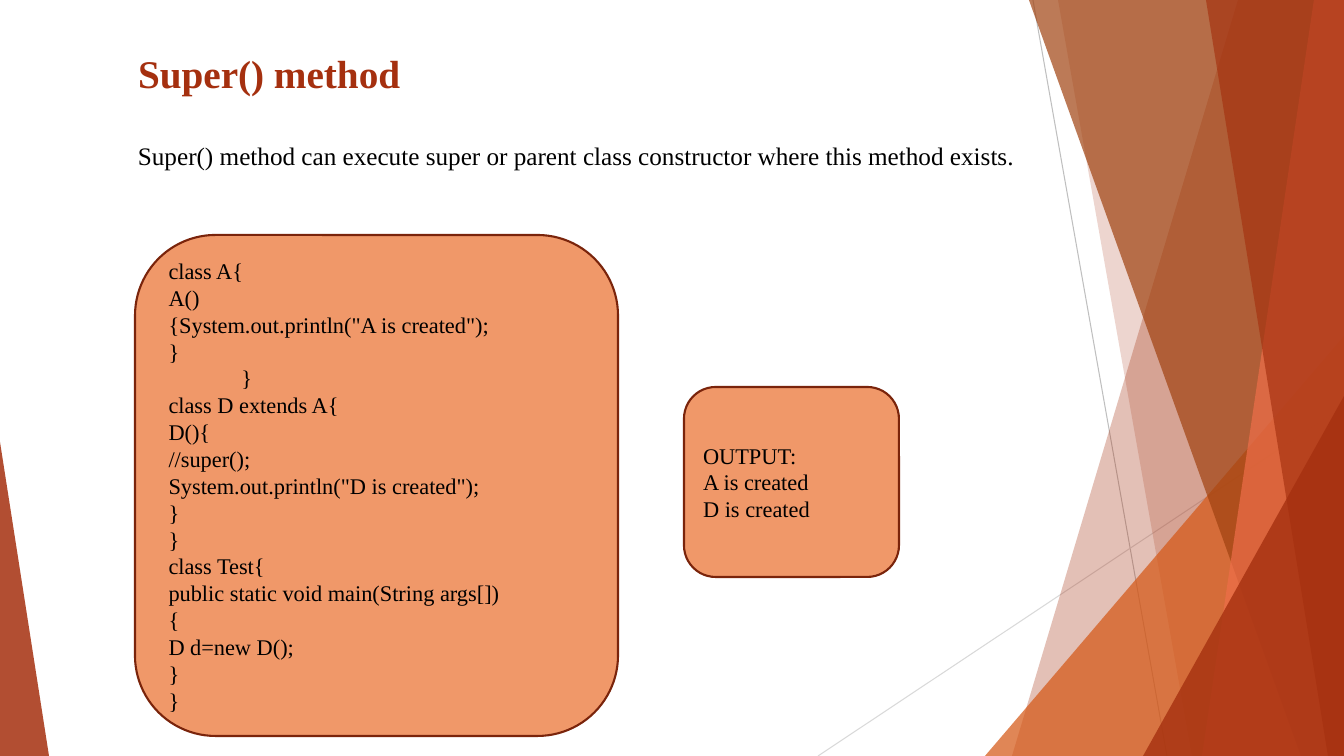
from dataclasses import dataclass
from typing import Any, NamedTuple

from lxml import etree
from pptx import Presentation
from pptx import util as u
from pptx.dml.color import RGBColor
from pptx.enum import shapes, text
from pptx.oxml import ns

EMU_PER_PX = 9144000 / 1008
WIDTH, HEIGHT = 1344, 756


@dataclass(frozen=True)
class Theme:
    font: str = "Times New Roman"
    brick: str = "A5300F"
    orange: str = "D55816"
    rust: str = "A04210"
    coral: str = "EE6E4A"
    panel: str = "F09869"
    border: str = "7A240B"
    ink: str = "000000"
    steep_line: str = "BFBFBF"
    shallow_line: str = "D9D9D9"
    title_size: int = 28
    sentence_size: int = 18
    code_size: int = 16


THEME = Theme()


class Box(NamedTuple):
    left: int
    top: int
    width: int
    height: int


class Ray(NamedTuple):
    start: tuple[int, int]
    end: tuple[int, int]
    color: str


class Band(NamedTuple):
    top_left: int
    bottom_left: int
    color: str
    opacity: int


class Wedge(NamedTuple):
    box: Box
    apex: int
    color: str
    opacity: int


class Line(NamedTuple):
    words: str
    indent: int = 0


class Panel(NamedTuple):
    box: Box
    lines: list[Line]


RAYS = [
    Ray((1033, 0), (1167, HEIGHT), THEME.steep_line),
    Ray((WIDTH, 406), (818, HEIGHT), THEME.shallow_line),
]
FACETS = [
    Band(1238, 1012, THEME.brick, 30),
    Band(1058, 1192, THEME.brick, 20),
    Wedge(Box(985, 336, 359, 420), 1, THEME.orange, 72),
    Band(1029, 1301, THEME.rust, 70),
    Band(1314, 1202, THEME.coral, 70),
    Band(1206, 1328, THEME.brick, 65),
    Wedge(Box(1143, 396, 201, 360), 1, THEME.brick, 80),
    Wedge(Box(0, 442, 49, 314), 0, THEME.brick, 85),
]
CODE = Panel(Box(135, 235, 483, 501), [
    Line("class A{"),
    Line("A()"),
    Line('{System.out.println("A is created");'),
    Line("}"),
    Line("}", 73),
    Line("class D extends A{"),
    Line("D(){"),
    Line("//super();"),
    Line('System.out.println("D is created");'),
    Line("}"),
    Line("}"),
    Line("class Test{"),
    Line("public static void main(String args[])"),
    Line("{"),
    Line("D d=new D();"),
    Line("}"),
    Line("}"),
])
OUTPUT = Panel(Box(684, 387, 215, 190), [
    Line("OUTPUT:"), Line("A is created"), Line("D is created"),
])
TITLE_BOX = Box(128, 44, 916, 122)
SENTENCE_BOX = Box(128, 135, 937, 40)


def px(length: int) -> u.Emu:
    return u.Emu(round(length * EMU_PER_PX))


def emu(box: Box) -> list[u.Emu]:
    return [px(side) for side in box]


def apply(target: Any, values: dict[str, Any]) -> None:
    for name, value in values.items():
        setattr(target, name, value)


def write(frame: Any, lines: list[Line], size: int, color: str,
          bold: bool = False, anchor: Any = text.MSO_ANCHOR.TOP) -> None:
    apply(frame, {"word_wrap": True, "auto_size": text.MSO_AUTO_SIZE.NONE,
                  "vertical_anchor": anchor})
    for index, line in enumerate(lines):
        paragraph = frame.add_paragraph() if index else frame.paragraphs[0]
        paragraph.alignment = text.PP_ALIGN.LEFT
        if line.indent:
            paragraph._p.get_or_add_pPr().set("marL", str(px(line.indent)))
        run = paragraph.add_run()
        run.text = line.words
        apply(run.font, {"name": THEME.font, "size": u.Pt(size), "bold": bold})
        run.font.color.rgb = RGBColor.from_string(color)


def paint(shape: Any, color: str) -> None:
    shape.shadow.inherit = False
    shape.fill.solid()
    shape.fill.fore_color.rgb = RGBColor.from_string(color)


def draw_ray(slide: Any, ray: Ray) -> None:
    ends = [px(value) for value in (*ray.start, *ray.end)]
    connector = slide.shapes.add_connector(shapes.MSO_CONNECTOR.STRAIGHT, *ends)
    connector.line.color.rgb = RGBColor.from_string(ray.color)
    connector.line.width = u.Pt(0.75)
    etree.SubElement(connector.element.spPr, ns.qn("a:effectLst"))


def draw_facet(slide: Any, facet: Band | Wedge) -> None:
    if isinstance(facet, Band):
        outline = slide.shapes.build_freeform(facet.top_left, 0, EMU_PER_PX)
        outline.add_line_segments(
            [(WIDTH, 0), (WIDTH, HEIGHT), (facet.bottom_left, HEIGHT)])
        shape = outline.convert_to_shape()
    else:
        shape = slide.shapes.add_shape(
            shapes.MSO_SHAPE.ISOSCELES_TRIANGLE, *emu(facet.box))
        shape.adjustments[0] = facet.apex
    paint(shape, facet.color)
    shape.line.fill.background()
    tint = shape.element.spPr.find(".//" + ns.qn("a:srgbClr"))
    etree.SubElement(tint, ns.qn("a:alpha")).set("val", str(facet.opacity * 1000))


def draw_panel(slide: Any, panel: Panel) -> None:
    shape = slide.shapes.add_shape(
        shapes.MSO_SHAPE.ROUNDED_RECTANGLE, *emu(panel.box))
    paint(shape, THEME.panel)
    shape.line.color.rgb = RGBColor.from_string(THEME.border)
    shape.line.width = u.Pt(1.5)
    write(shape.text_frame, panel.lines, THEME.code_size, THEME.ink,
          anchor=text.MSO_ANCHOR.MIDDLE)


def main() -> None:
    deck = Presentation()
    apply(deck, {"slide_width": px(WIDTH), "slide_height": px(HEIGHT)})
    slide = deck.slides.add_slide(deck.slide_layouts.get_by_name("Title Only"))

    for ray in RAYS:
        draw_ray(slide, ray)
    for facet in FACETS:
        draw_facet(slide, facet)

    heading = slide.shapes.title
    apply(heading, dict(zip(Box._fields, emu(TITLE_BOX))))
    write(heading.text_frame, [Line("Super() method")],
          THEME.title_size, THEME.brick, bold=True)
    heading.element.getparent().append(heading.element)

    sentence = slide.shapes.add_textbox(*emu(SENTENCE_BOX))
    write(sentence.text_frame,
          [Line("Super() method can execute super or parent class constructor "
                "where this method exists.")],
          THEME.sentence_size, THEME.ink)

    for panel in (CODE, OUTPUT):
        draw_panel(slide, panel)
    deck.save("out.pptx")


main()
